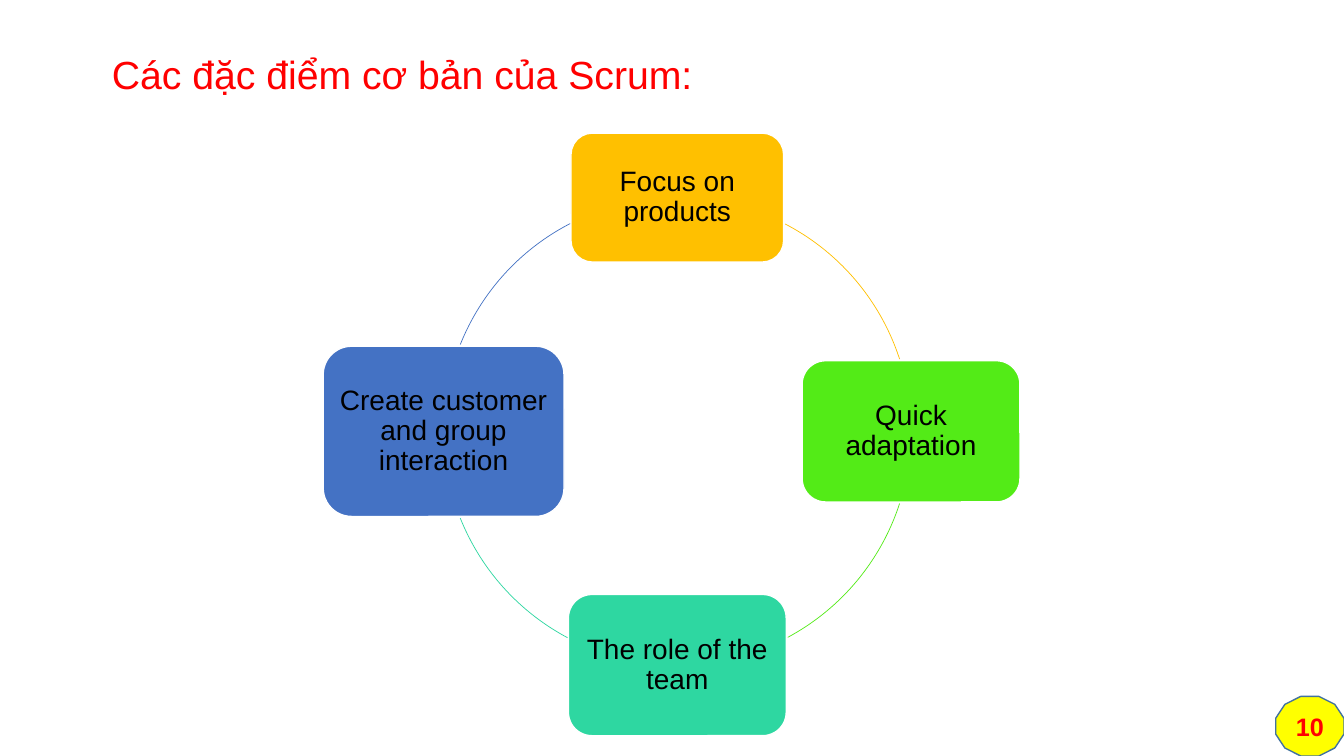
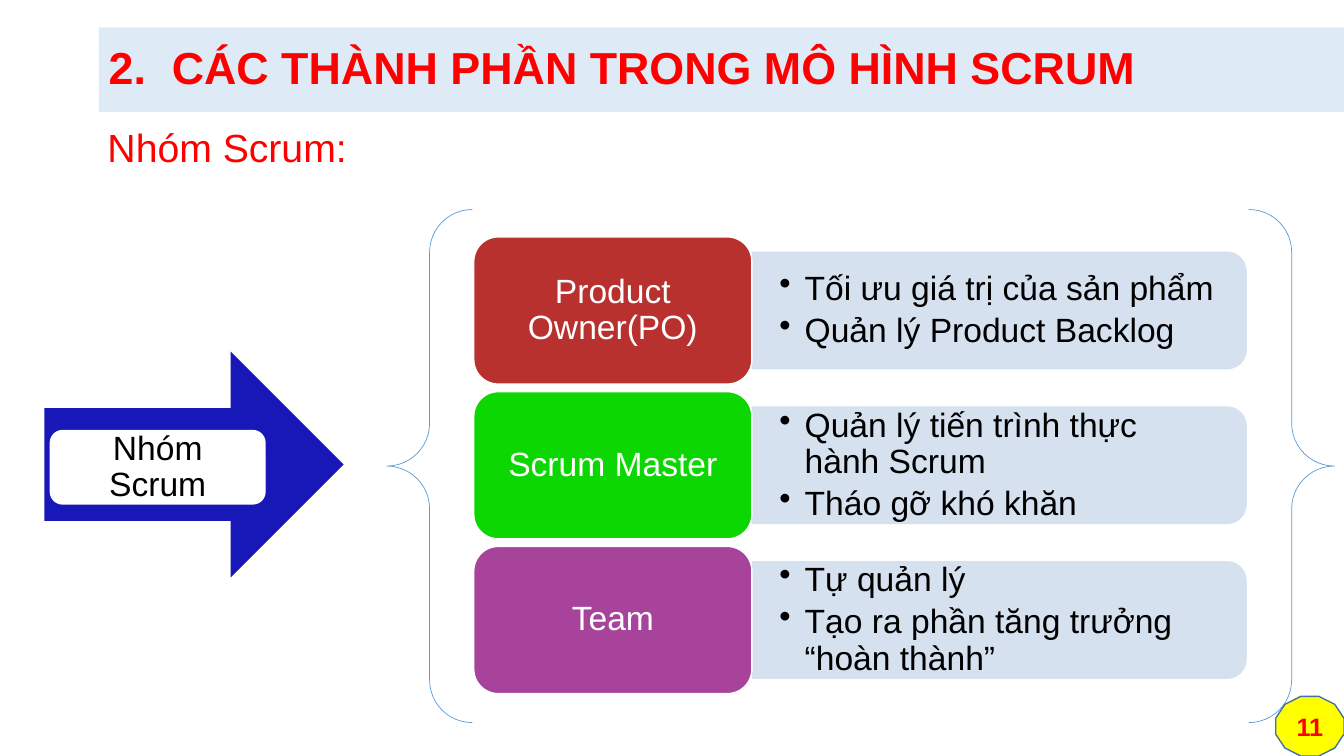
from lxml import etree
from pptx import Presentation
from pptx.dml.color import RGBColor
from pptx.enum.shapes import MSO_SHAPE
from pptx.enum.text import MSO_ANCHOR, PP_ALIGN
from pptx.oxml.ns import qn
from pptx.util import Cm, Pt

ARC, ARROW, BRACES = MSO_SHAPE.ARC, MSO_SHAPE.RIGHT_ARROW, MSO_SHAPE.LEFT_BRACE
BRACES = MSO_SHAPE.DOUBLE_BRACE
RECT, ROUNDED = MSO_SHAPE.RECTANGLE, MSO_SHAPE.ROUNDED_RECTANGLE
TAB, DODECAGON = MSO_SHAPE.ROUND_2_SAME_RECTANGLE, MSO_SHAPE.DODECAGON
LEFT, CENTER = PP_ALIGN.LEFT, PP_ALIGN.CENTER
TOP, MIDDLE = MSO_ANCHOR.TOP, MSO_ANCHOR.MIDDLE

BLACK = RGBColor(0x00, 0x00, 0x00)
WHITE = RGBColor(0xFF, 0xFF, 0xFF)
RED = RGBColor(0xFF, 0x00, 0x00)
YELLOW = RGBColor(0xFF, 0xFF, 0x00)
BADGE_EDGE = RGBColor(0x43, 0x73, 0x9E)
BAND = RGBColor(0xDE, 0xEB, 0xF7)
PANEL = RGBColor(0xD2, 0xDE, 0xEF)
BRACE_LINE = RGBColor(0x5B, 0x9B, 0xD5)
ARROW_BLUE = RGBColor(0x18, 0x18, 0xB8)
AMBER = RGBColor(0xFF, 0xC0, 0x00)
LIME = RGBColor(0x53, 0xEB, 0x17)
MINT = RGBColor(0x2E, 0xD7, 0xA1)
BLUE = RGBColor(0x44, 0x72, 0xC4)
BRICK = RGBColor(0xB8, 0x31, 0x2E)
GREEN = RGBColor(0x0D, 0xD7, 0x03)
PURPLE = RGBColor(0xA7, 0x43, 0x9B)

FONT = "Arial"
SLIDE_W, SLIDE_H = 33.87, 19.05  # all plain lengths are centimetres

FEATURES_TITLE = "Các đặc điểm cơ bản của Scrum:"
# text, colour, direction from the centre, size, arc to the next node (degrees)
FEATURES = [
    ("Focus on products", AMBER, (0, -1), (5.36, 3.25), (297.5, 342)),
    ("Quick adaptation", LIME, (1, 0), (5.49, 3.56), (18, 61.8)),
    ("The role of the team", MINT, (0, 1), (5.49, 3.56), (118, 158.2)),
    ("Create customer and group interaction", BLUE, (-1, 0), (6.07, 4.29),
     (201.8, 242.7)),
]
CYCLE_X, CYCLE_Y, CYCLE_R = 17.07, 10.87, 5.89

SECTION_TITLE = "CÁC THÀNH PHẦN TRONG MÔ HÌNH SCRUM"
SECTION_NUMBER = 2
TEAM_TITLE = "Nhóm Scrum:"
TEAM = "Nhóm Scrum"
ROLES = [
    ("Product Owner(PO)", BRICK,
     ["Tối ưu giá trị của sản phẩm", "Quản lý Product Backlog"]),
    ("Scrum Master", GREEN,
     ["Quản lý tiến trình thực hành Scrum", "Tháo gỡ khó khăn"]),
    ("Team", PURPLE,
     ["Tự quản lý", "Tạo ra phần tăng trưởng “hoàn thành”"]),
]
ROLE_X, ROLE_Y, ROLE_W, ROLE_H, ROLE_PITCH = 11.94, 5.97, 7.01, 3.71, 3.9
DUTY_W, DUTY_H, DUTY_TEXT_W = 12.47, 2.97, 12.34


def add_box(slide, kind, left, top, width, height,
            fill=None, line=None, line_width=1):
    shape = slide.shapes.add_shape(
        kind, Cm(left), Cm(top), Cm(width), Cm(height))
    shape.shadow.inherit = False
    if fill is None:
        shape.fill.background()
    else:
        shape.fill.solid()
        shape.fill.fore_color.rgb = fill
    if line is None:
        shape.line.fill.background()
    else:
        shape.line.color.rgb = line
        shape.line.width = Pt(line_width)
    return shape


def add_marker(paragraph, tag, indent, **attributes):
    """Give a paragraph a hanging bullet or number."""
    properties = paragraph._p.get_or_add_pPr()
    properties.set("marL", str(Cm(indent)))
    properties.set("indent", str(-Cm(indent)))
    marker = etree.SubElement(properties, qn(tag))
    for key, value in attributes.items():
        marker.set(key, value)


def write(shape, lines, size, color, align=CENTER, anchor=MIDDLE,
          inset=(0.25, 0.13), bold=False, spacing=0.9, gap=0, marker=None):
    """Fill a shape with paragraphs; inset is (horizontal, vertical)."""
    frame = shape.text_frame
    across, down = map(Cm, inset)
    frame_format = {
        "word_wrap": True, "vertical_anchor": anchor,
        "margin_left": across, "margin_right": across,
        "margin_top": down, "margin_bottom": down,
    }
    for key, value in frame_format.items():
        setattr(frame, key, value)
    for index, text in enumerate(lines):
        paragraph = frame.add_paragraph() if index else frame.paragraphs[0]
        paragraph.text = text
        if marker:
            add_marker(paragraph, **marker)
        paragraph.alignment = align
        paragraph.line_spacing = spacing
        if index:
            paragraph.space_before = Pt(gap)
        font_format = {"name": FONT, "size": Pt(size), "bold": bold}
        for key, value in font_format.items():
            setattr(paragraph.font, key, value)
        paragraph.font.color.rgb = color


def add_text(slide, left, top, width, height, lines, size, color, **style):
    box = slide.shapes.add_textbox(Cm(left), Cm(top), Cm(width), Cm(height))
    write(box, lines, size, color, align=LEFT, **style)


def add_heading(slide, left, top, text):
    add_text(slide, left, top, 18.92, 1.04, [text], 28, RED, anchor=TOP)


def add_page_badge(slide, number):
    badge = add_box(slide, DODECAGON, 32.15, 17.55, 1.72, 1.5,
                    YELLOW, BADGE_EDGE)
    write(badge, [str(number)], 18, RED, bold=True, spacing=1,
          inset=(0, 0.13))


def add_features_slide(slide):
    add_heading(slide, 2.57, 1.27, FEATURES_TITLE)
    for text, color, (dx, dy), (width, height), angles in FEATURES:
        node = add_box(slide, ROUNDED,
                       CYCLE_X + dx * CYCLE_R - width / 2,
                       CYCLE_Y + dy * CYCLE_R - height / 2,
                       width, height, color, WHITE)
        write(node, [text], 20, BLACK, inset=(0.2, 0.2))
        arc = add_box(slide, ARC, CYCLE_X - CYCLE_R, CYCLE_Y - CYCLE_R,
                      2 * CYCLE_R, 2 * CYCLE_R, line=color, line_width=0.5)
        for index, angle in enumerate(angles):
            arc.adjustments[index] = angle * 0.6  # 60000 units per degree


def add_role(slide, top, role, color, duties):
    panel_x = ROLE_X + ROLE_W
    middle = top + ROLE_H / 2
    panel = add_box(slide, TAB, panel_x + (DUTY_W - DUTY_H) / 2,
                    middle - DUTY_W / 2, DUTY_H, DUTY_W, PANEL)
    panel.rotation = 90
    tint = panel._element.spPr.find(qn("a:solidFill"))[0]
    etree.SubElement(tint, qn("a:alpha")).set("val", "90000")
    add_text(slide, panel_x, middle - DUTY_H / 2, DUTY_TEXT_W, DUTY_H,
             duties, 24, BLACK, inset=(0.69, 0.36), gap=4,
             marker={"tag": "a:buChar", "indent": 0.64, "char": "•"})
    label = add_box(slide, ROUNDED, ROLE_X, top, ROLE_W, ROLE_H, color, WHITE)
    write(label, [role], 24, WHITE)


def add_team_slide(slide):
    band = add_box(slide, RECT, 2.49, 0.69, SLIDE_W - 2.49, 2.13, BAND)
    write(band, [SECTION_TITLE], 32, RED, align=LEFT, bold=True,
          marker={"tag": "a:buAutoNum", "indent": 1.59,
                  "type": "arabicPeriod", "startAt": str(SECTION_NUMBER)})
    for index, role in enumerate(ROLES):
        add_role(slide, ROLE_Y + index * ROLE_PITCH, *role)
    add_box(slide, ARROW, 1.12, 8.86, 7.54, 5.69, ARROW_BLUE)
    team = add_box(slide, ROUNDED, 1.27, 10.85, 5.41, 1.85, WHITE, WHITE)
    write(team, [TEAM], 24, BLACK, inset=(0.25, 0.25))
    add_box(slide, BRACES, 9.75, 5.28, 23.88, 12.93,
            line=BRACE_LINE, line_width=0.5)
    add_heading(slide, 2.46, 3.12, TEAM_TITLE)


def main():
    deck = Presentation()
    deck.slide_width, deck.slide_height = Cm(SLIDE_W), Cm(SLIDE_H)
    blank = deck.slide_layouts[6]
    builders = [add_features_slide, add_team_slide]
    for number, build in enumerate(builders, start=10):
        slide = deck.slides.add_slide(blank)
        build(slide)
        add_page_badge(slide, number)
    deck.save("out.pptx")


if __name__ == "__main__":
    main()
